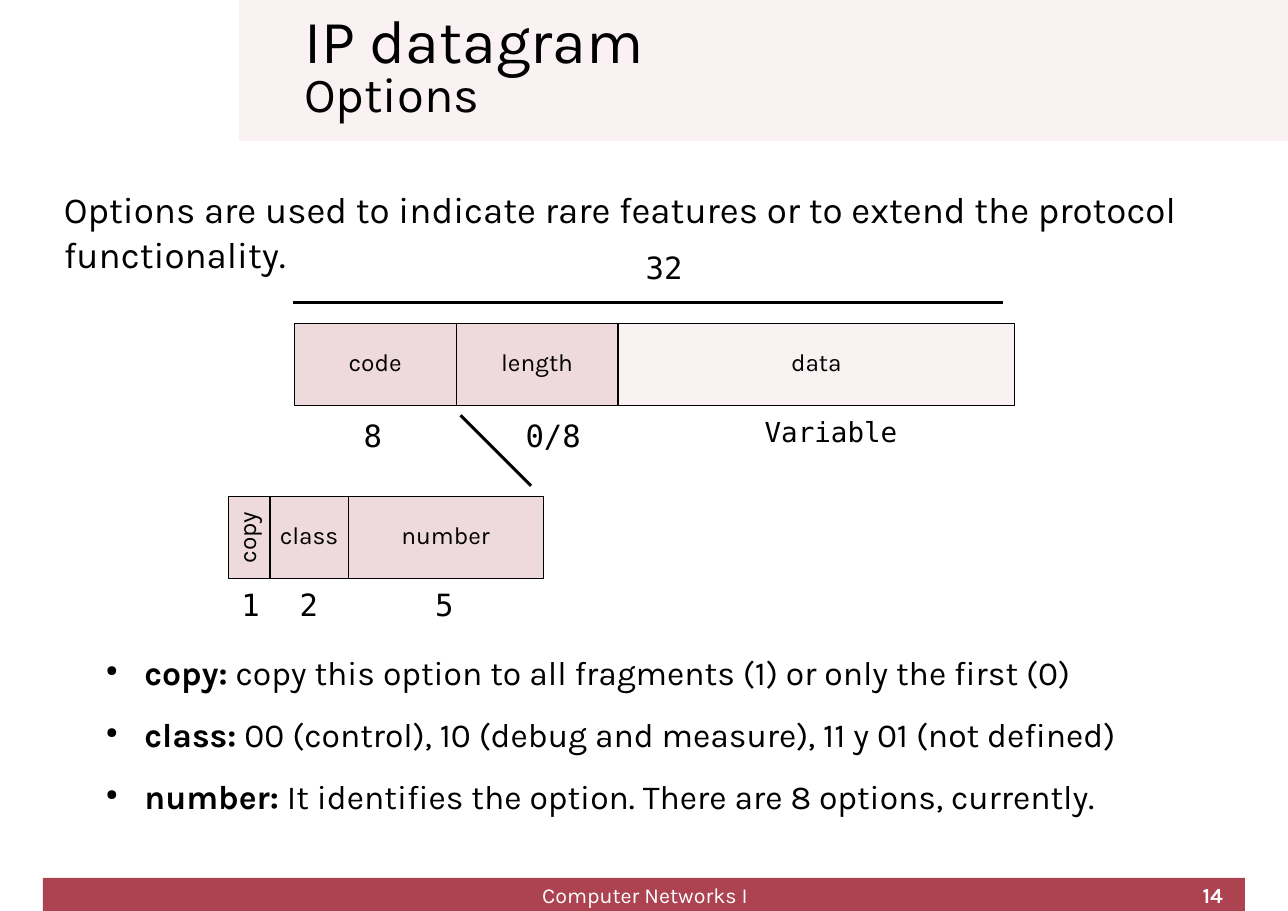
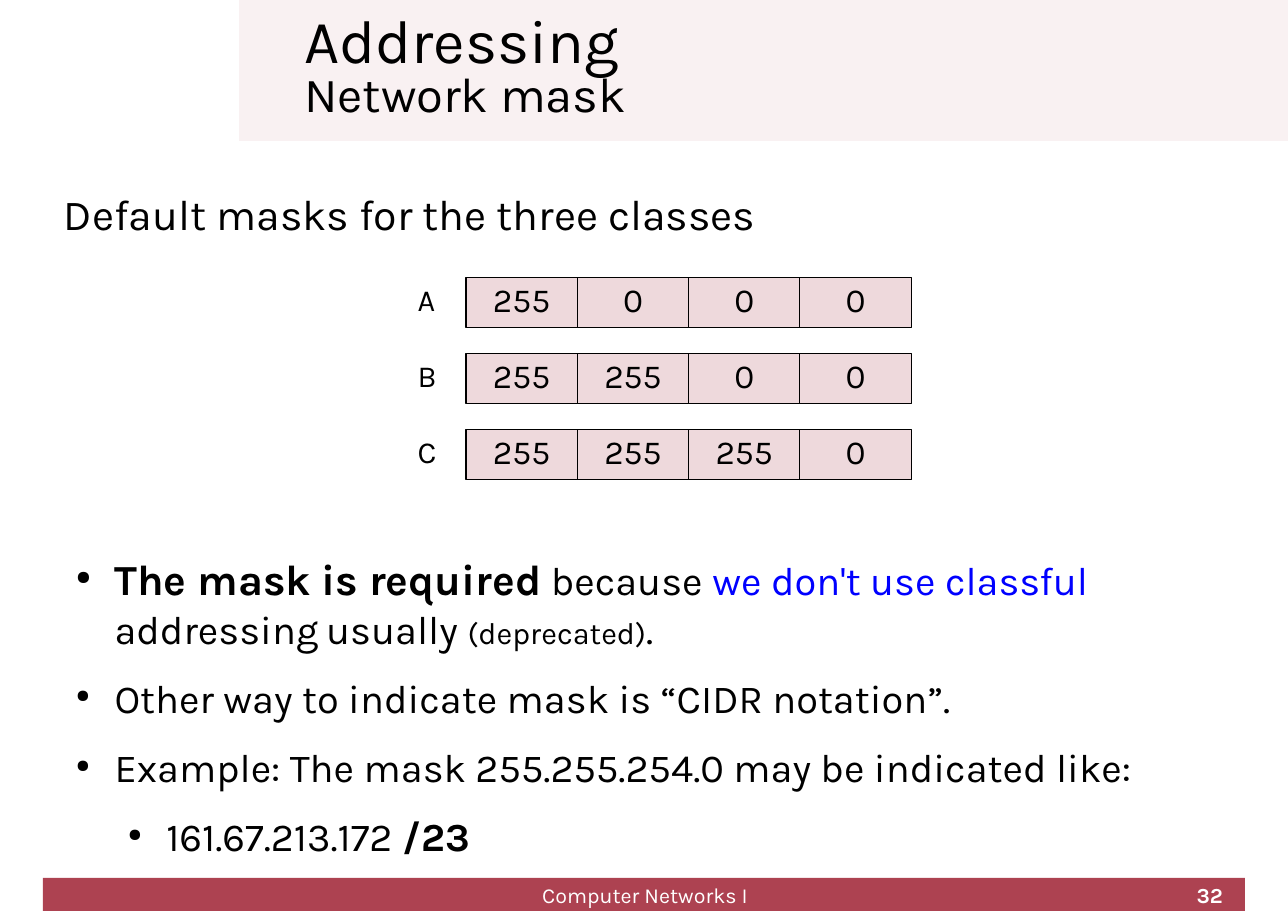
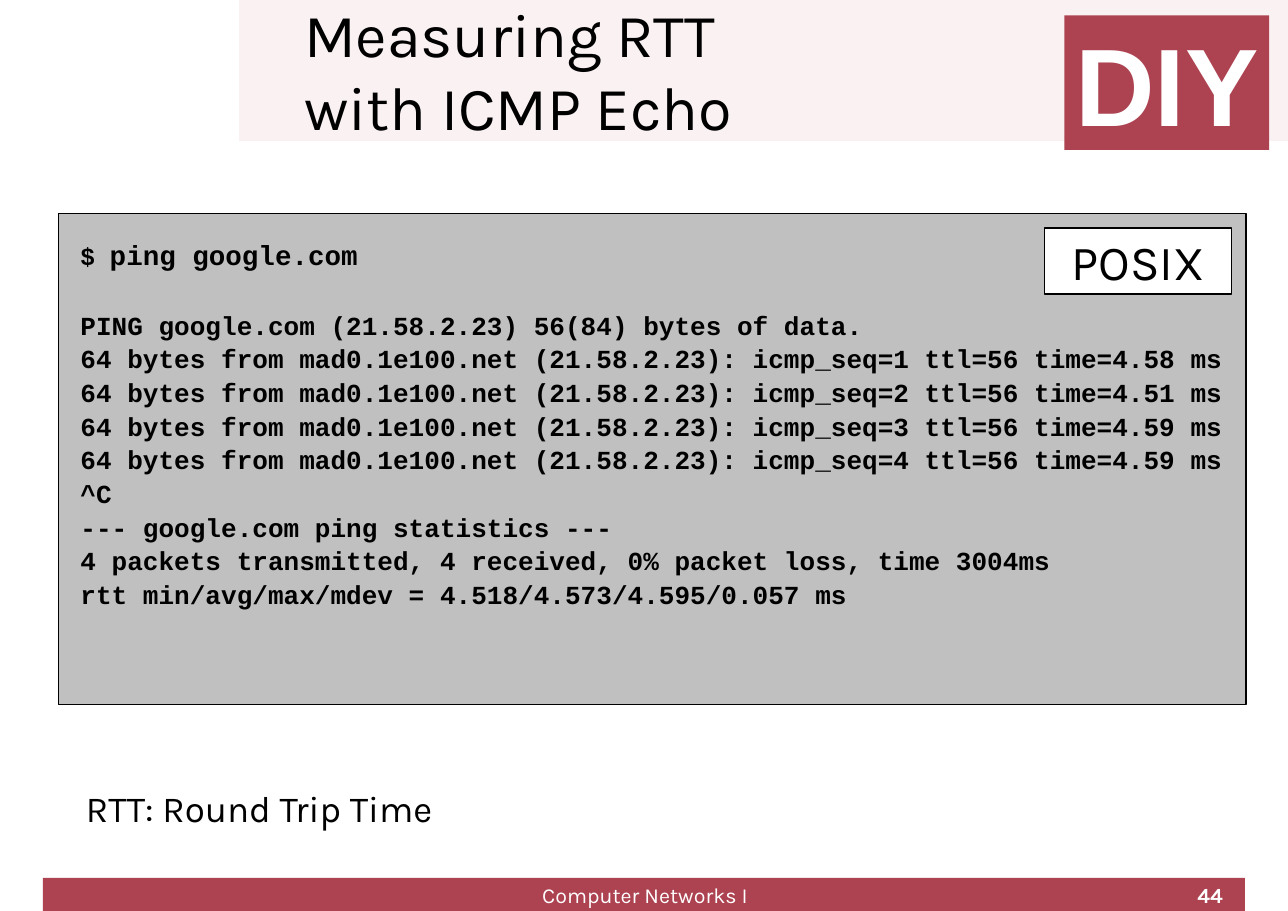
from dataclasses import dataclass
from typing import NamedTuple, Optional

from lxml import etree
from pptx import Presentation
from pptx import util as u
from pptx.dml.color import RGBColor
from pptx.enum import shapes, text
from pptx.oxml.ns import qn

SCALE = 9144  # EMU per px, 100 px to the inch
WIDE, HIGH = 1169, 827
HEX = {
    "ink": "000000", "paper": "FFFFFF", "blue": "0000FF", "gray": "C0C0C0",
    "brand": "AD4251", "rose": "EED9DC", "pale": "F9F1F2",
}
SANS, MONO, CODE, BOLD = "Karla", "DejaVu Sans Mono", "Courier New", "Arial"
LEFT, MID, RIGHT = text.PP_ALIGN.LEFT, text.PP_ALIGN.CENTER, text.PP_ALIGN.RIGHT
TOP, CORE = text.MSO_ANCHOR.TOP, text.MSO_ANCHOR.MIDDLE


class Box(NamedTuple):
    x: int
    y: int
    w: int
    h: int


@dataclass
class Run:
    text: str
    size: int
    bold: bool = False
    color: str = "ink"
    font: str = SANS


@dataclass
class Para:
    runs: list[Run]
    align: text.PP_ALIGN = LEFT
    pitch: Optional[float] = None
    before: float = 0
    after: float = 0
    level: Optional[int] = None  # bullet level, None for plain text


class Field(NamedTuple):
    name: str
    width: int
    fill: str = "rose"
    turned: bool = False


class Label(NamedTuple):
    text: str
    box: Box
    size: int = 20
    font: str = MONO


def px(n: int) -> u.Emu:
    return u.Emu(n * SCALE)


def rgb(name: str) -> RGBColor:
    return RGBColor.from_string(HEX[name])


# Text
def bullet(para, level: int) -> None:
    para.level = level
    props = para._p.get_or_add_pPr()
    props.set("marL", str(px(47 * (level + 1))))
    props.set("indent", str(px(-35)))
    tint = etree.SubElement(props, qn("a:buClr"))
    etree.SubElement(tint, qn("a:srgbClr")).set("val", HEX["ink"])
    etree.SubElement(props, qn("a:buSzPct")).set("val", "45000")
    etree.SubElement(props, qn("a:buChar")).set("char", "●")


def write(shape, paras: list[Para], anchor=TOP, wrap: bool = True,
          inset: int = 0) -> None:
    frame = shape.text_frame
    frame.auto_size = text.MSO_AUTO_SIZE.NONE
    frame.word_wrap = wrap
    frame.vertical_anchor = anchor
    frame.margin_left = frame.margin_right = px(inset)
    frame.margin_top = frame.margin_bottom = px(inset)
    for i, item in enumerate(paras):
        para = frame.add_paragraph() if i else frame.paragraphs[0]
        if item.level is not None:
            bullet(para, item.level)
        para.alignment = item.align
        para.line_spacing = item.pitch
        para.space_before, para.space_after = u.Pt(item.before), u.Pt(item.after)
        for part in item.runs:
            for j, line in enumerate(part.text.split("\n")):
                if j:
                    para.add_line_break()
                if line:
                    run = para.add_run()
                    run.text = line
                    font = run.font
                    font.name, font.size = part.font, u.Pt(part.size)
                    font.bold, font.color.rgb = part.bold, rgb(part.color)


def note(slide, box: Box, paras: list[Para], wrap: bool = True) -> None:
    write(slide.shapes.add_textbox(*map(px, box)), paras, wrap=wrap)


def label(slide, item: Label) -> None:
    run = Run(item.text, item.size, font=item.font)
    note(slide, item.box, [Para([run], pitch=1.08)], wrap=False)


# Shapes
def rect(slide, box: Box, fill: str, edge: bool = True):
    shape = slide.shapes.add_shape(shapes.MSO_SHAPE.RECTANGLE, *map(px, box))
    shape.shadow.inherit = False
    shape.fill.solid()
    shape.fill.fore_color.rgb = rgb(fill)
    if edge:
        shape.line.color.rgb = rgb("ink")
        shape.line.width = 0
    else:
        shape.line.fill.background()
    return shape


def rule(slide, x1: int, y1: int, x2: int, y2: int) -> None:
    line = slide.shapes.add_connector(
        shapes.MSO_CONNECTOR.STRAIGHT, px(x1), px(y1), px(x2), px(y2))
    line.line.color.rgb = rgb("ink")
    line.line.width = 0
    etree.SubElement(line.element.spPr, qn("a:effectLst"))


def row(slide, x: int, y: int, h: int, fields: list[Field], size: int) -> None:
    for item in fields:
        w = item.width
        box = Box(x, y, w, h)
        if item.turned:
            box = Box(x + (w - h) // 2, y + (h - w) // 2, h, w)
        cell = rect(slide, box, item.fill)
        cell.rotation = 270 if item.turned else 0
        write(cell, [Para([Run(item.name, size)], MID, 0.8)], CORE)
        x += w


# Shared frame
def bands(slide, layout) -> None:
    """Put the two colour bands into the layout, behind its title."""
    for spare in list(layout.placeholders)[1:]:
        spare.element.getparent().remove(spare.element)
    for box, fill in ((Box(217, 0, 952, 128), "pale"),
                      (Box(39, 797, 1091, 30), "brand")):
        layout.shapes.element.insert(2, rect(slide, box, fill, False).element)


def start(deck, page: int, title: list[Run], pitch: Optional[float] = 0.8):
    layout = deck.slide_layouts[5]
    slide = deck.slides.add_slide(layout)
    if len(deck.slides) == 1:
        bands(slide, layout)
    head = slide.shapes.title
    head.left, head.top, head.width, head.height = map(px, Box(276, -6, 835, 138))
    write(head, [Para(title, pitch=pitch)], CORE)
    note(slide, Box(400, 801, 371, 23),
         [Para([Run("Computer Networks I", 14, color="paper")], MID)])
    note(slide, Box(838, 801, 272, 23),
         [Para([Run(str(page), 14, True, "paper")], RIGHT)])
    return slide


# Slides
def options(deck) -> None:
    slide = start(deck, 14, [Run("IP datagram\n", 40), Run("Options", 32)])
    note(slide, Box(58, 170, 1052, 90), [Para([Run(
        "Options are used to indicate rare features or to extend the protocol "
        "functionality.", 24)])])
    row(slide, 267, 294, 74, [Field("code", 147), Field("length", 147),
                              Field("data", 360, "pale")], 16)
    row(slide, 207, 451, 74, [Field("copy", 38, turned=True), Field("class", 71),
                              Field("number", 177)], 16)
    rule(slide, 266, 275, 910, 275)
    rule(slide, 482, 441, 418, 377)
    for item in (Label("32", Box(586, 223, 34, 41)),
                 Label("8", Box(330, 376, 18, 41)),
                 Label("0/8", Box(477, 376, 50, 41)),
                 Label("Variable", Box(694, 374, 120, 37), 18),
                 Label("1", Box(219, 529, 18, 41)),
                 Label("2", Box(272, 529, 18, 41)),
                 Label("5", Box(395, 529, 18, 41))):
        label(slide, item)
    terms = {
        "copy:": " copy this option to all fragments (1) or only the first (0)",
        "class:": " 00 (control), 10 (debug and measure), 11 y 01 (not defined)",
        "number:": " It identifies the option. There are 8 options, currently.",
    }
    note(slide, Box(84, 592, 1038, 170), [
        Para([Run(term, 22, True), Run(rest, 22)], after=14.1, level=0)
        for term, rest in terms.items()])


def masks(deck) -> None:
    slide = start(deck, 32, [Run("Addressing\n", 40), Run("Network mask", 32)])
    note(slide, Box(58, 170, 1052, 60),
         [Para([Run("Default masks for the three classes", 28)])])
    for i, name in enumerate("ABC"):
        y = 252 + 69 * i
        label(slide, Label(name, Box(379, y, 19, 45), font=SANS))
        row(slide, 423, y, 45, [Field("255" if j <= i else "0", 101)
                                for j in range(4)], 22)
    note(slide, Box(57, 502, 1090, 279), [
        Para([Run("The mask is required", 28, True), Run(" because ", 26),
              Run("we don't use classful ", 26, color="blue"),
              Run("addressing", 26), Run(" ", 20), Run("usually ", 26),
              Run("(deprecated)", 20), Run(".", 26)], after=14.1, level=0),
        Para([Run("Other way to indicate mask is “CIDR notation”.", 26)],
             after=14.1, level=0),
        Para([Run("Example: The mask 255.255.254.0 may be indicated like:", 26)],
             after=14.1, level=0),
        Para([Run("161.67.213.172 ", 26), Run("/23", 26, True)],
             after=11.3, level=1)])


def ping(deck) -> None:
    slide = start(deck, 44, [Run("Measuring RTT\nwith ICMP Echo", 40)], None)
    times = ("4.58", "4.51", "4.59", "4.59")
    lines = [
        "PING google.com (21.58.2.23) 56(84) bytes of data.",
        *(f"64 bytes from mad0.1e100.net (21.58.2.23): icmp_seq={n} ttl=56 "
          f"time={ms} ms" for n, ms in enumerate(times, 1)),
        "^C",
        "--- google.com ping statistics ---",
        "4 packets transmitted, 4 received, 0% packet loss, time 3004ms",
        "rtt min/avg/max/mdev = 4.518/4.573/4.595/0.057 ms",
    ]
    shell = [Para([Run("$ ", 16, True, font=CODE),
                   Run("ping google.com", 18, True, font=CODE)], pitch=1.08)]
    shell += [Para([Run(line, 17, True, font=CODE)], pitch=1.08,
                   before=0 if i else 23) for i, line in enumerate(lines)]
    write(rect(slide, Box(53, 194, 1078, 446), "gray"), shell,
          wrap=False, inset=20)
    write(rect(slide, Box(966, 14, 186, 122), "brand", False),
          [Para([Run("DIY", 72, True, "paper", BOLD)])], CORE, False, 10)
    write(rect(slide, Box(948, 207, 170, 60), "paper"),
          [Para([Run("POSIX", 32)], MID)], CORE)
    note(slide, Box(78, 713, 435, 48), [Para([Run("RTT: Round Trip Time", 24)])])


def main() -> None:
    deck = Presentation()
    deck.slide_width, deck.slide_height = px(WIDE), px(HIGH)
    for build in (options, masks, ping):
        build(deck)
    deck.save("out.pptx")


if __name__ == "__main__":
    main()
